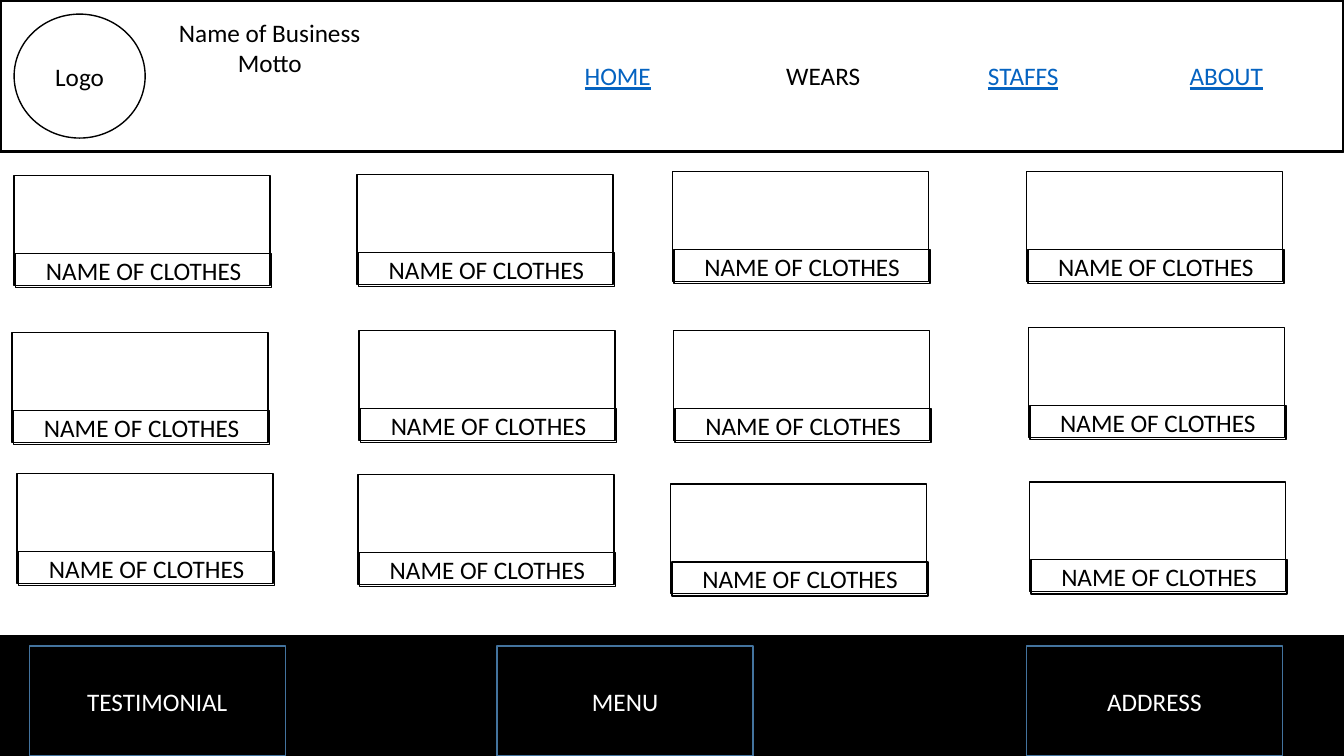
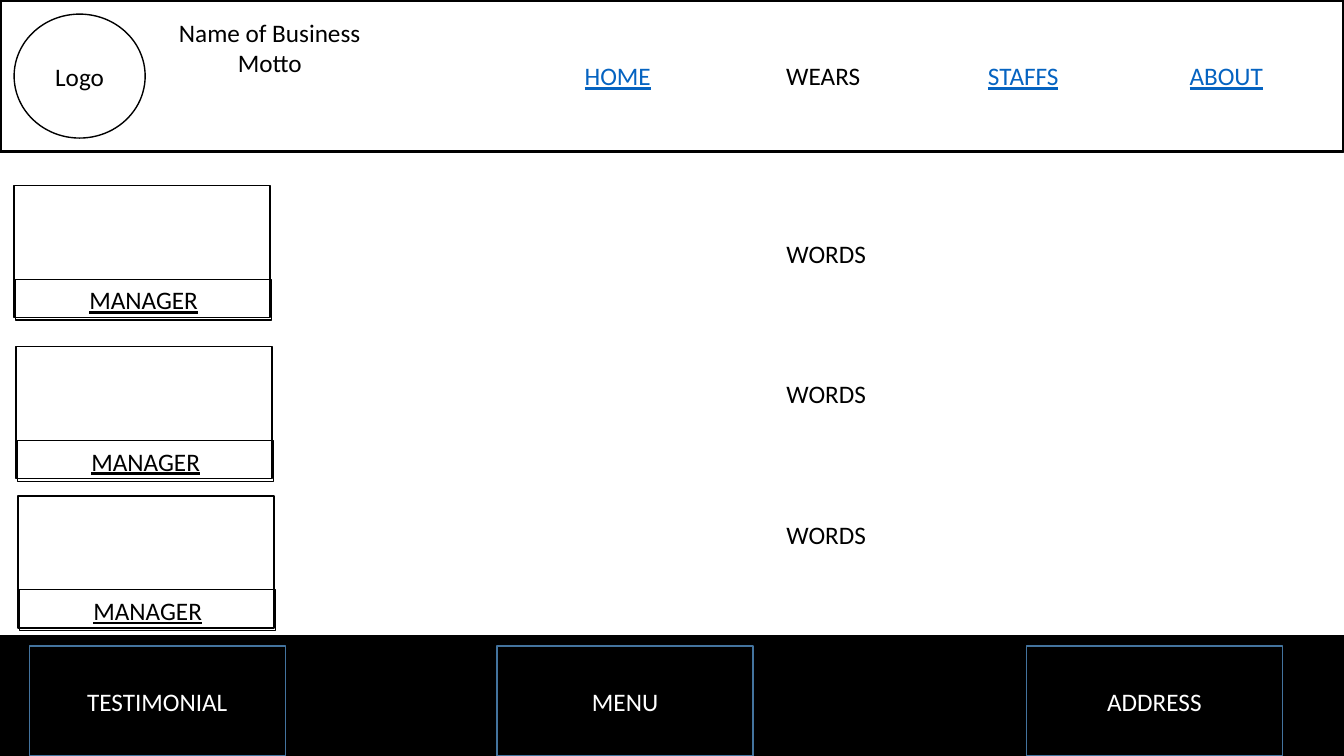
import pptx
import pptx.dml.color
import pptx.enum.shapes
import pptx.enum.text
import pptx.oxml
import pptx.oxml.ns
import pptx.util

Inches = pptx.util.Inches
Pt = pptx.util.Pt
SHAPES = pptx.enum.shapes.MSO_SHAPE
ALIGN = pptx.enum.text.PP_ALIGN

COLOURS = {
    "ink": "000000",
    "paper": "FFFFFF",
    "link": "0563C1",
    "frame": "43739E",
}
FONT = "Calibri"
TEXT_SIZE = 18
SLIDE_WIDTH, SLIDE_HEIGHT = 13.33, 7.5
BOX_WIDTH = 2.54

NAV_ITEMS = [("HOME", True), ("WEARS", False), ("STAFFS", True), ("ABOUT", True)]
NAV_START, NAV_STEP = 5.7, 2.0
FOOTER_BOXES = [("TESTIMONIAL", 0.29), ("ADDRESS", 10.18), ("MENU", 4.93)]

CLOTHES_HEIGHT = 1.09
CLOTHES_ROWS = [
    [(0.14, 1.74), (3.54, 1.73), (6.67, 1.7), (10.18, 1.7)],
    [(0.12, 3.3), (3.56, 3.28), (6.68, 3.28), (10.2, 3.25)],
    [(0.17, 4.7), (3.55, 4.71), (6.65, 4.8), (10.21, 4.78)],
]
STAFF_HEIGHT = 1.31
STAFF_CARDS = [(0.14, 1.84), (0.16, 3.44), (0.18, 4.92)]
WORDS_TOPS = [1.84, 3.23, 4.63]


def colour(name):
    return pptx.dml.color.RGBColor.from_string(COLOURS[name])


def style_span(span, ink="ink", underline=False):
    span.font.name = FONT
    span.font.size = Pt(TEXT_SIZE)
    span.font.color.rgb = colour(ink)
    span.font.underline = underline


def write(box, text, ink="ink", underline=False):
    frame = box.text_frame
    frame.word_wrap = True
    frame.vertical_anchor = pptx.enum.text.MSO_ANCHOR.MIDDLE
    frame.text = text
    for para in frame.paragraphs:
        para.alignment = ALIGN.CENTER
        for span in para.runs:
            style_span(span, ink, underline)


def add_box(shapes, left, top, width, height, text="", fill=None, line="ink",
            weight=1, ink="ink", underline=False, kind=SHAPES.RECTANGLE):
    box = shapes.add_shape(
        kind, Inches(left), Inches(top), Inches(width), Inches(height))
    box.shadow.inherit = False
    if fill:
        box.fill.solid()
        box.fill.fore_color.rgb = colour(fill)
    else:
        box.fill.background()
    box.line.color.rgb = colour(line)
    box.line.width = Pt(weight)
    write(box, text, ink, underline)
    return box


def add_navigation(band):
    para = band.text_frame.paragraphs[0]
    para.alignment = ALIGN.LEFT
    stops = pptx.oxml.parse_xml(
        "<a:tabLst %s/>" % pptx.oxml.ns.nsdecls("a"))
    for index, (label, linked) in enumerate(NAV_ITEMS):
        stop = stops.makeelement(pptx.oxml.ns.qn("a:tab"), {
            "pos": str(Inches(NAV_START + index * NAV_STEP)), "algn": "l"})
        stops.append(stop)
        gap = para.add_run()
        gap.text = "\t"
        style_span(gap)
        span = para.add_run()
        span.text = label
        style_span(span, "link" if linked else "ink", linked)
    para._p.get_or_add_pPr().append(stops)


def add_header(page):
    band = add_box(page.shapes, 0, 0, SLIDE_WIDTH, 1.5, weight=2.25)
    add_navigation(band)
    add_box(page.shapes, 0.14, 0.14, 1.3, 1.23, "Logo", kind=SHAPES.OVAL)
    name = page.shapes.add_textbox(
        Inches(1.44), Inches(0.14), Inches(2.47), Inches(0.66))
    write(name, "Name of Business\nMotto")


def add_footer(page):
    add_box(page.shapes, 0, 6.31, SLIDE_WIDTH, 1.29, fill="ink")
    for label, left in FOOTER_BOXES:
        add_box(page.shapes, left, 6.41, BOX_WIDTH, 1.09, label,
                line="frame", ink="paper")


def add_card(page, left, top, height, caption, underline=False):
    card = page.shapes.add_group_shape()
    add_box(card.shapes, left, top, BOX_WIDTH, height)
    add_box(card.shapes, left + 0.015, top + 0.71 * height, BOX_WIDTH,
            0.31 * height, caption, underline=underline)


def add_page(deck):
    page = deck.slides.add_slide(deck.slide_layouts.get_by_name("Blank"))
    add_header(page)
    add_footer(page)
    return page


def build_wears(deck):
    page = add_page(deck)
    for row in CLOTHES_ROWS:
        for left, top in row:
            add_card(page, left, top, CLOTHES_HEIGHT, "NAME OF CLOTHES")


def build_staffs(deck):
    page = add_page(deck)
    for (left, top), words_top in zip(STAFF_CARDS, WORDS_TOPS):
        add_card(page, left, top, STAFF_HEIGHT, "MANAGER", underline=True)
        add_box(page.shapes, 3.51, words_top, 9.37, 1.35, "WORDS",
                fill="paper", line="paper")


def main():
    deck = pptx.Presentation()
    deck.slide_width = Inches(SLIDE_WIDTH)
    deck.slide_height = Inches(SLIDE_HEIGHT)
    build_wears(deck)
    build_staffs(deck)
    deck.save("out.pptx")


main()
